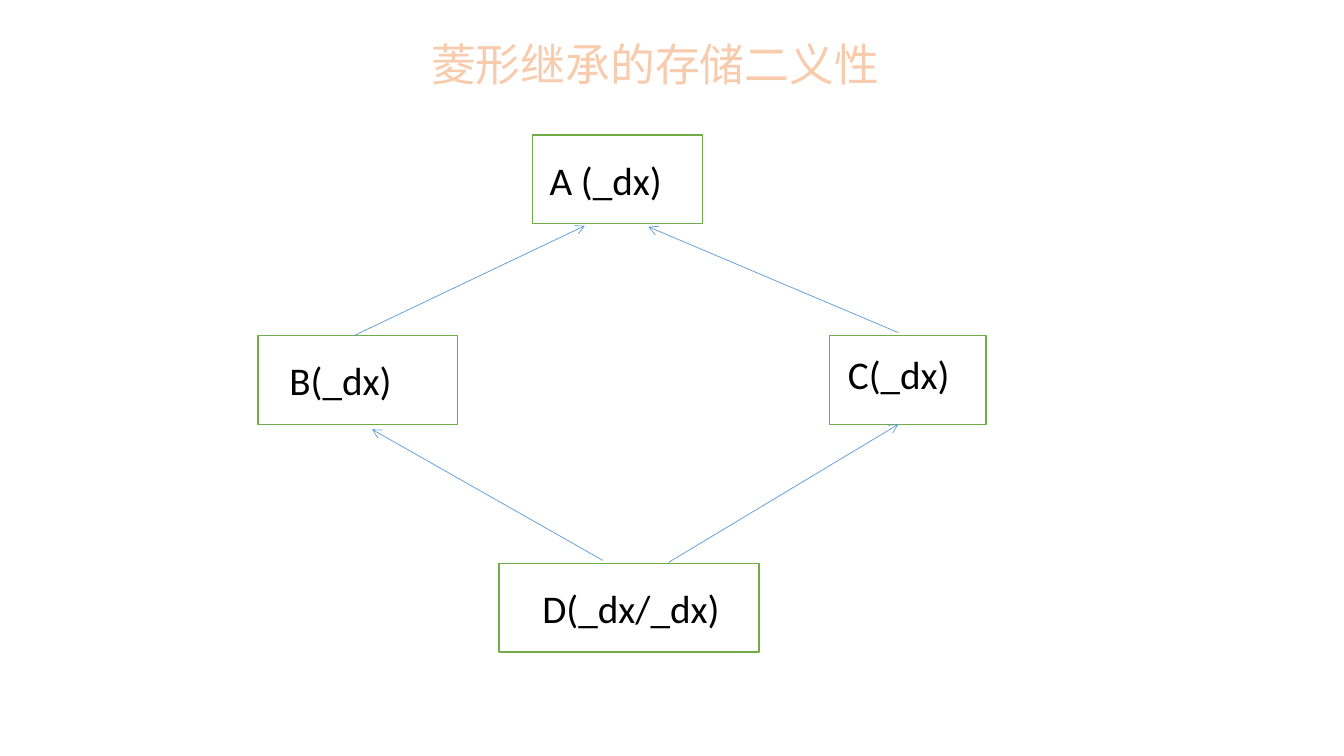
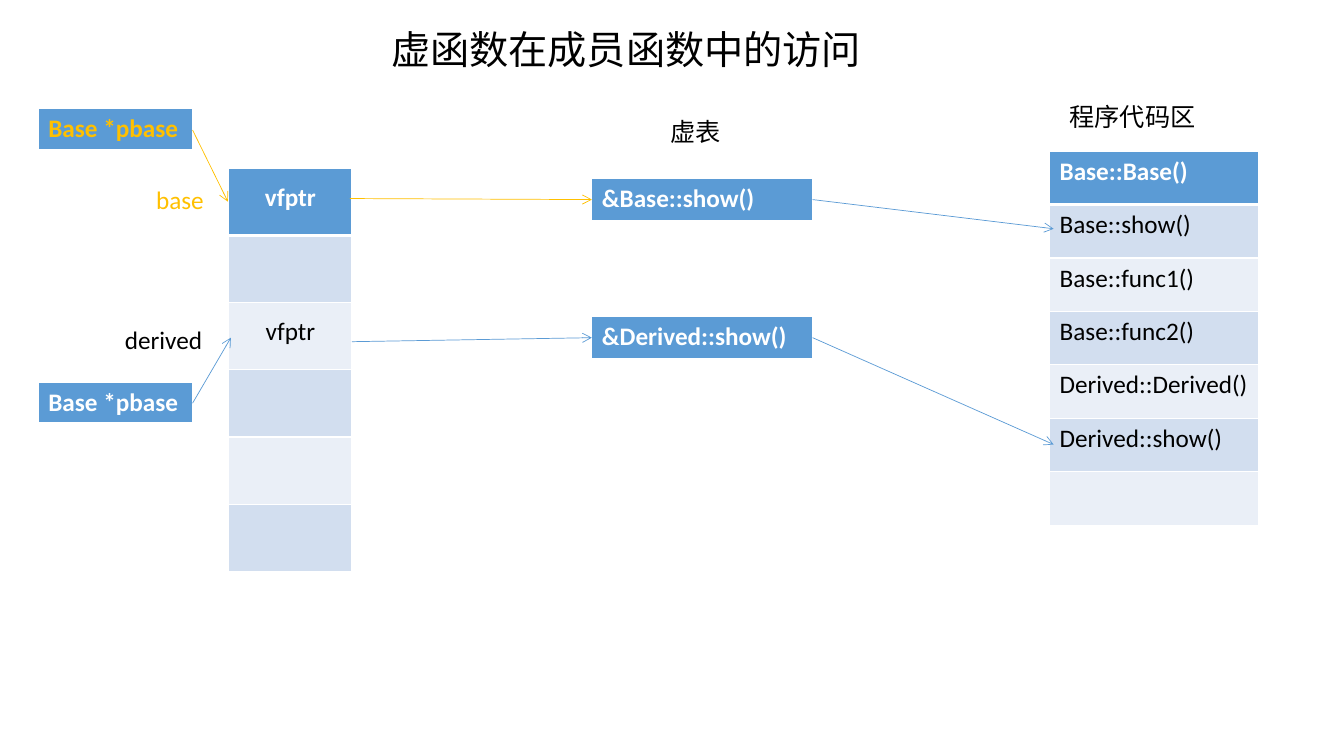
from dataclasses import dataclass

from lxml.etree import SubElement
from pptx import Presentation
from pptx.dml.color import RGBColor
from pptx.enum.shapes import MSO_CONNECTOR as Connector, MSO_SHAPE as Shape
from pptx.enum.text import MSO_ANCHOR as Anchor, MSO_AUTO_SIZE as AutoSize, PP_ALIGN as Align
from pptx.oxml import parse_xml
from pptx.oxml.ns import nsdecls, qn
from pptx.util import Pt

PX = 9144  # EMU per px, 100 px to the inch


@dataclass(frozen=True)
class Theme:
    font: str = "Calibri"
    text: str = "000000"
    white: str = "FFFFFF"
    blue: str = "5B9BD5"
    gold: str = "FFC000"
    green: str = "70AD47"
    peach: str = "F8CBAD"
    orange: str = "ED7D31"
    bands: tuple = ("EAEFF7", "D2DEEF")
    title_large: int = 32
    title: int = 28
    node: int = 28
    body: int = 18
    arrow_width: float = 0.5
    border: int = 1
    header_rule: int = 3


THEME = Theme()


@dataclass(frozen=True)
class Region:
    """Origin of a slide region; its parts are placed relative to it."""
    left: int
    top: int

    def point(self, x, y):
        return (self.left + x) * PX, (self.top + y) * PX

    def box(self, x, y, width, height):
        return *self.point(x, y), width * PX, height * PX


# Shared parts
def add_run(paragraph, text, size, color=THEME.text, bold=False):
    run = paragraph.add_run()
    run.text = text
    font = run.font
    font.name, font.size, font.bold = THEME.font, Pt(size), bold
    font.color.rgb = RGBColor.from_string(color)
    return run


def add_line_xml(parent, tag, color, points):
    line = parse_xml(
        f'<a:{tag} {nsdecls("a")} w="{int(Pt(points))}"><a:solidFill>'
        f'<a:srgbClr val="{color}"/></a:solidFill></a:{tag}>')
    parent.append(line)
    return line


def add_title(slide, text, box, size, color=THEME.text):
    title = slide.shapes.title
    title.left, title.top, title.width, title.height = box
    frame = title.text_frame
    frame.auto_size, frame.vertical_anchor = AutoSize.NONE, Anchor.MIDDLE
    paragraph = frame.paragraphs[0]
    paragraph.alignment = Align.CENTER
    return add_run(paragraph, text, size, color)


def add_label(slide, text, box, color=THEME.text, align=Align.LEFT):
    frame = slide.shapes.add_textbox(*box).text_frame
    frame.word_wrap = True
    paragraph = frame.paragraphs[0]
    paragraph.alignment = align
    add_run(paragraph, text, THEME.body, color)


def add_arrow(slide, start, end, color=THEME.blue):
    arrow = slide.shapes.add_connector(Connector.STRAIGHT, *start, *end)
    arrow.line.width = Pt(THEME.arrow_width)
    arrow.line.color.rgb = RGBColor.from_string(color)
    SubElement(arrow.line._get_or_add_ln(), qn("a:tailEnd"), type="arrow")
    SubElement(arrow._element.spPr, qn("a:effectLst"))


def add_memory_table(slide, rows, box, header_color=THEME.white,
                     align=Align.LEFT, spacing=1.0):
    """One column of cells: a blue header, then banded rows."""
    table = slide.shapes.add_table(len(rows), 1, *box).table
    table.horz_banding = False
    for index, text in enumerate(rows):
        is_header = index == 0
        cell = table.cell(index, 0)
        properties = cell._tc.get_or_add_tcPr()
        borders = {
            "lnL": THEME.border,
            "lnR": THEME.border,
            "lnT": THEME.header_rule if index == 1 else THEME.border,
            "lnB": THEME.header_rule if is_header else THEME.border,
        }
        for tag, points in borders.items():
            add_line_xml(properties, tag, THEME.white, points)
        cell.fill.solid()
        cell.fill.fore_color.rgb = RGBColor.from_string(
            THEME.blue if is_header else THEME.bands[index % 2])
        if text:
            paragraph = cell.text_frame.paragraphs[0]
            paragraph.alignment, paragraph.line_spacing = align, spacing
            add_run(paragraph, text, THEME.body,
                    header_color if is_header else THEME.text, is_header)


# Diamond inheritance
def add_class_node(slide, text, box, indent, lift=0):
    node = slide.shapes.add_shape(Shape.RECTANGLE, *box)
    node.shadow.inherit = False
    node.fill.solid()
    node.fill.fore_color.rgb = RGBColor.from_string(THEME.white)
    node.line.color.rgb = RGBColor.from_string(THEME.green)
    node.line.width = Pt(THEME.border)
    frame = node.text_frame
    frame.word_wrap, frame.vertical_anchor = True, Anchor.MIDDLE
    frame.margin_left, frame.margin_right = indent * PX, 0
    frame.margin_top, frame.margin_bottom = 0, lift * PX
    paragraph = frame.paragraphs[0]
    paragraph.alignment = Align.LEFT
    add_run(paragraph, text, THEME.node)


def add_class_diamond(slide, region):
    node_height = 88
    for text, x, y, width, indent, lift in (
        ("A (_dx)", 272, 0, 169, 17, 0),
        ("C(_dx)", 567, 199, 155, 18, 13),
        ("B(_dx)", 0, 199, 198, 31, 0),
        ("D(_dx/_dx)", 239, 425, 258, 43, 0),
    ):
        add_class_node(slide, text, region.box(x, y, width, node_height), indent, lift)
    for derived, base in (
        ((95, 199), (324, 90)),
        ((635, 196), (387, 91)),
        ((342, 422), (113, 292)),
        ((407, 424), (635, 287)),
    ):
        add_arrow(slide, region.point(*derived), region.point(*base))


def build_diamond_slide(slide):
    title = add_title(slide, "菱形继承的存储二义性", Region(258, 31).box(0, 0, 784, 64),
                      THEME.title_large, THEME.peach)
    properties = title.font._element
    outline = add_line_xml(properties, "ln", THEME.orange, 1.75)
    properties.insert(0, outline)
    add_class_diamond(slide, Region(256, 134))


# Virtual function access
def add_object_memory(slide, region):
    add_memory_table(slide, ("vfptr", "", "vfptr", "", "", ""),
                     region.box(189, 59, 122, 400), align=Align.CENTER, spacing=1.3)
    for name, label_box, color, pointer_y, pointer_color, target in (
        ("base", (107, 70, 70, 40), THEME.gold, 0, THEME.gold, (188, 92)),
        ("derived", (76, 209, 102, 40), THEME.text, 271, THEME.white, (191, 227)),
    ):
        add_label(slide, name, region.box(*label_box), color)
        add_memory_table(slide, ("Base *pbase",), region.box(0, pointer_y, 153, 42),
                         pointer_color)
        arrow_color = THEME.gold if name == "base" else THEME.blue
        add_arrow(slide, region.point(153, pointer_y + 21), region.point(*target),
                  arrow_color)


def add_code_area(slide, region):
    add_label(slide, "程序代码区", region.box(10, 0, 201, 40))
    functions = ("Base::Base()", "Base::show()", "Base::func1()", "Base::func2()",
                 "Derived::Derived()", "Derived::show()", "")
    add_memory_table(slide, functions, region.box(0, 54, 207, 371))


def add_virtual_tables(slide, region):
    add_label(slide, "虚表", region.box(15, 0, 176, 40), align=Align.CENTER)
    width, height = 219, 43
    for entry, y, vfptr, code, color in (
        ("&Base::show()", 67, (-240, 87), (458, 117), THEME.gold),
        ("&Derived::show()", 204, (-238, 229), (458, 331), THEME.blue),
    ):
        middle = y + height // 2
        add_memory_table(slide, (entry,), region.box(0, y, width, height))
        add_arrow(slide, region.point(*vfptr), region.point(0, middle), color)
        add_arrow(slide, region.point(width, middle), region.point(*code))


def build_virtual_access_slide(slide):
    add_title(slide, "虚函数在成员函数中的访问", Region(351, 20).box(0, 0, 540, 57),
              THEME.title)
    add_object_memory(slide, Region(38, 108))
    add_code_area(slide, Region(1041, 96))
    add_virtual_tables(slide, Region(587, 110))


def main():
    deck = Presentation()
    deck.slide_width, deck.slide_height = 1333 * PX, 750 * PX
    title_only = deck.slide_layouts[5]
    for build in (build_diamond_slide, build_virtual_access_slide):
        build(deck.slides.add_slide(title_only))
    deck.save("out.pptx")


if __name__ == "__main__":
    main()
